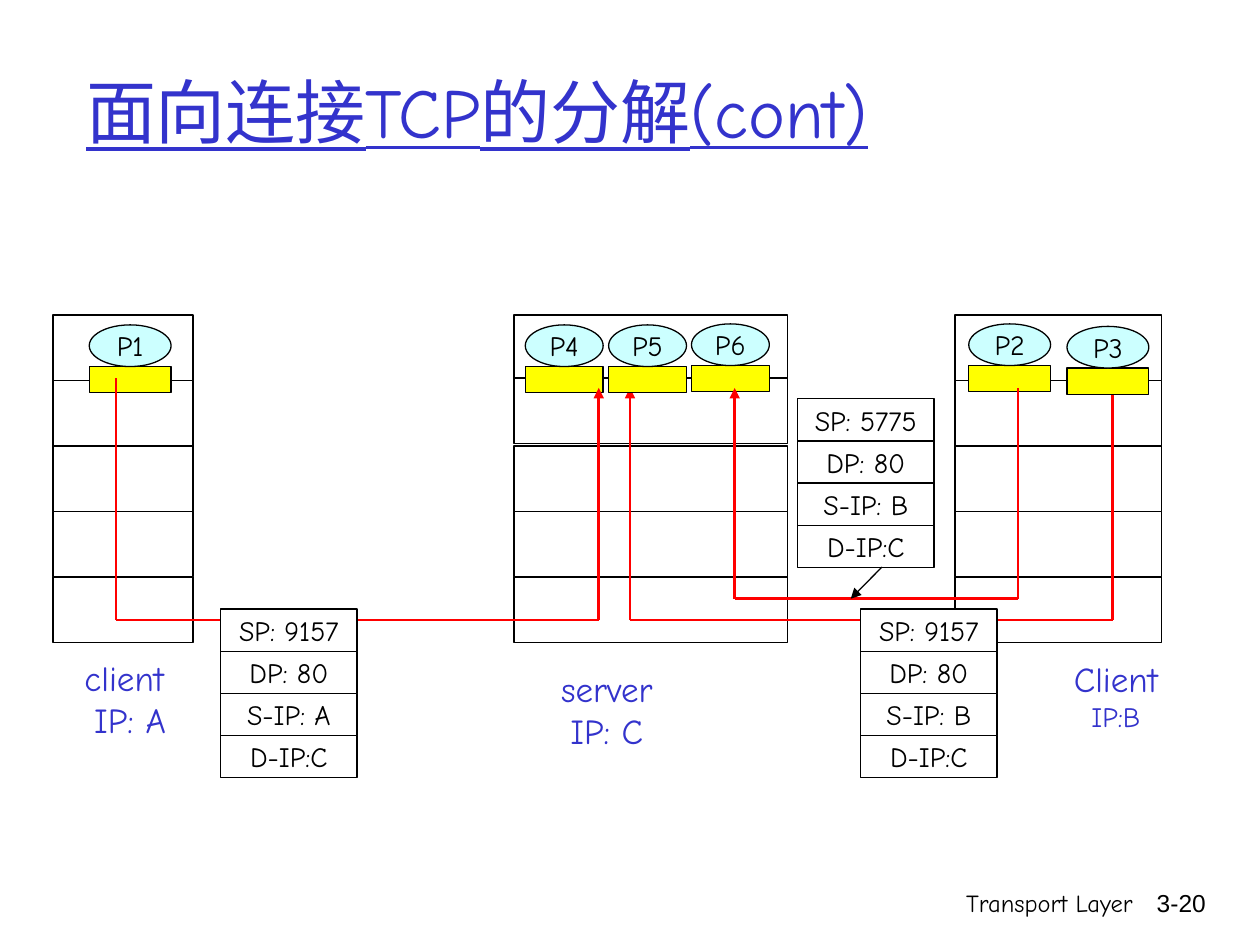
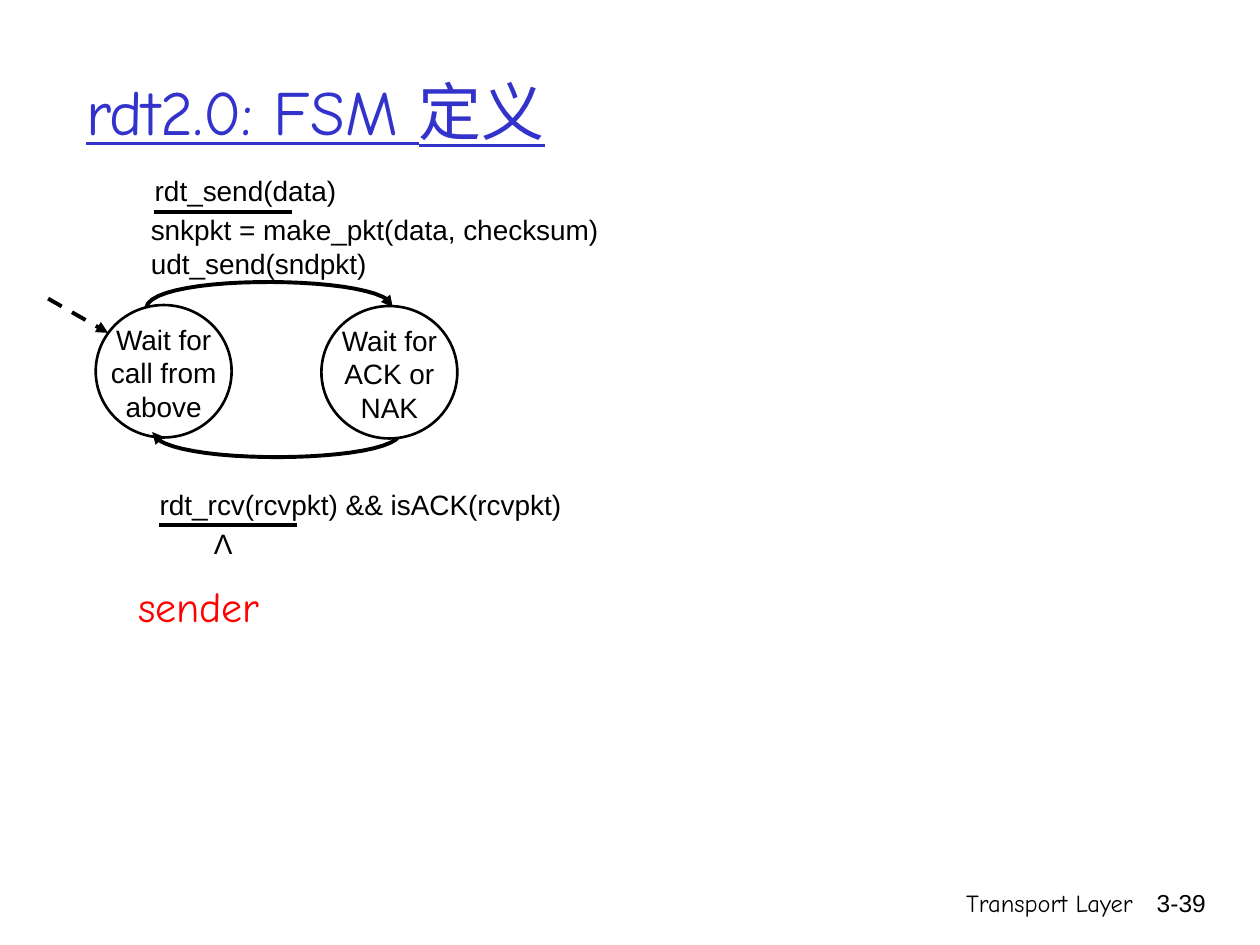
from lxml import etree
from pptx import Presentation
from pptx import util as u
from pptx.dml.color import RGBColor
from pptx.enum import dml, shapes, text
from pptx.oxml import ns

BLACK = RGBColor(0x00, 0x00, 0x00)
WHITE = RGBColor(0xFF, 0xFF, 0xFF)
BLUE = RGBColor(0x33, 0x33, 0xCC)
RED = RGBColor(0xFF, 0x00, 0x00)
YELLOW = RGBColor(0xFF, 0xFF, 0x00)
CYAN = RGBColor(0xCC, 0xFF, 0xFF)
HAND, SANS = "Comic Neue", "Arial"
LEFT, CENTER, RIGHT = text.PP_ALIGN.LEFT, text.PP_ALIGN.CENTER, text.PP_ALIGN.RIGHT
RECT, OVAL = shapes.MSO_SHAPE.RECTANGLE, shapes.MSO_SHAPE.OVAL
LAYER_HEIGHT = 1.32
PROCESS_HEIGHT, SOCKET_HEIGHT = 0.84, 0.53
FIELD_WIDTH, FIELD_HEIGHT = 2.75, 0.85
STATE_WIDTH, STATE_HEIGHT = 2.74, 2.67


def write(frame, content, size=16, font=HAND, color=BLACK, align=CENTER,
          anchor=text.MSO_ANCHOR.TOP, wrap=False, underline=None, last_size=None):
    """Fill a text frame with one paragraph per line of content."""
    frame.text = content
    frame.word_wrap = wrap
    frame.auto_size = text.MSO_AUTO_SIZE.NONE
    frame.vertical_anchor = anchor
    for paragraph in frame.paragraphs:
        paragraph.alignment = align
        for run in paragraph.runs:
            run.font.size = u.Pt(size)
            run.font.name = font
            run.font.color.rgb = color
            run.font.underline = underline
    if last_size:
        frame.paragraphs[-1].runs[0].font.size = u.Pt(last_size)


def label(slide, left, top, width, height, content, **style):
    """Add a text box."""
    box = slide.shapes.add_textbox(u.Cm(left), u.Cm(top), u.Cm(width), u.Cm(height))
    write(box.text_frame, content, **style)


def block(slide, kind, left, top, width, height, fill=WHITE, weight=0.75, content=""):
    """Add an outlined preset shape, with centred text if given."""
    shape = slide.shapes.add_shape(kind, u.Cm(left), u.Cm(top), u.Cm(width), u.Cm(height))
    shape.shadow.inherit = False
    shape.fill.solid()
    shape.fill.fore_color.rgb = fill
    shape.line.color.rgb = BLACK
    shape.line.width = u.Pt(weight)
    if content:
        write(shape.text_frame, content, anchor=text.MSO_ANCHOR.MIDDLE)


def add_arrowhead(shape):
    """Put a triangle at the end of a line."""
    outline = shape._element.spPr.find(ns.qn("a:ln"))
    etree.SubElement(outline, ns.qn("a:tailEnd"), type="triangle")


def line(slide, start, end, color=BLACK, weight=0.75, arrow=False, dashed=False):
    """Add a straight connector between two points."""
    points = [u.Cm(value) for value in (*start, *end)]
    connector = slide.shapes.add_connector(shapes.MSO_CONNECTOR.STRAIGHT, *points)
    connector.line.color.rgb = color
    connector.line.width = u.Pt(weight)
    if dashed:
        connector.line.dash_style = dml.MSO_LINE.DASH
    if arrow:
        add_arrowhead(connector)
    etree.SubElement(connector._element.spPr, ns.qn("a:effectLst"))


def curve(slide, *controls, steps=24):
    """Add a cubic curve with an arrowhead, through four control points."""
    def point(t):
        weights = ((1 - t) ** 3, 3 * t * (1 - t) ** 2, 3 * t * t * (1 - t), t ** 3)
        return tuple(u.Cm(sum(w * c[axis] for w, c in zip(weights, controls)))
                     for axis in (0, 1))

    builder = slide.shapes.build_freeform(*point(0))
    builder.add_line_segments([point(i / steps) for i in range(1, steps + 1)], close=False)
    arc = builder.convert_to_shape()
    arc.shadow.inherit = False
    arc.fill.background()
    arc.line.color.rgb = BLACK
    arc.line.width = u.Pt(2.25)
    add_arrowhead(arc)


def new_slide(deck, title, number, title_size):
    """Add a slide with the shared title style and footer."""
    slide = deck.slides.add_slide(deck.slide_layouts[5])
    heading = slide.shapes.title
    heading.left, heading.top = u.Cm(1.48), u.Cm(0.64)
    heading.width, heading.height = u.Cm(21.59), u.Cm(3.18)
    write(heading.text_frame, title, size=title_size, color=BLUE, align=LEFT,
          anchor=text.MSO_ANCHOR.MIDDLE, wrap=True, underline=True)
    footer = dict(size=14, align=RIGHT, wrap=True)
    label(slide, 15.04, 17.78, 8.05, 1.27, "Transport Layer", **footer)
    label(slide, 22.68, 17.78, 1.88, 1.27, number, font=SANS, **footer)
    return slide


def host(slide, left, top, width, second_lift=0.0):
    """Stack the five protocol layers of a host."""
    for index in range(5):
        lift = second_lift if index == 1 else 0
        block(slide, RECT, left, top + index * LAYER_HEIGHT - lift, width, LAYER_HEIGHT)


def process(slide, left, top, width, name):
    """Draw a process above its socket."""
    block(slide, RECT, left, top + PROCESS_HEIGHT, width, SOCKET_HEIGHT, fill=YELLOW)
    block(slide, OVAL, left, top, width, PROCESS_HEIGHT, fill=CYAN, content=name)


def connection(slide, client_x, server_x, bottom, client_top):
    """Route a red path from a client socket down and up to a server socket."""
    red = dict(color=RED, weight=1.5)
    line(slide, (client_x, client_top), (client_x, bottom), **red)
    line(slide, (client_x, bottom), (server_x, bottom), **red)
    line(slide, (server_x, bottom), (server_x, 7.82), arrow=True, **red)


def segment_header(slide, left, top, source_port, source_ip):
    """Stack the four address fields of a segment."""
    fields = (f"SP: {source_port}", "DP: 80", f"S-IP: {source_ip}", "D-IP:C")
    for index, field in enumerate(fields):
        block(slide, RECT, left, top + index * FIELD_HEIGHT, FIELD_WIDTH, FIELD_HEIGHT,
              content=field)


def demultiplexing_slide(deck):
    """Show two clients connected to separate sockets of one server."""
    slide = new_slide(deck, "面向连接TCP的分解(cont)", "3-20", 40)
    top, client_a, server, client_b = 6.35, 1.07, 10.36, 19.25
    host(slide, client_a, top, 2.82)
    host(slide, server, top, 5.51, second_lift=0.05)
    host(slide, client_b, top, 4.17)
    process(slide, client_a + 0.73, top + 0.2, 1.65, "P1")
    process(slide, client_b + 0.28, top + 0.18, 1.65, "P2")
    process(slide, server + 0.23, top + 0.2, 1.57, "P4")
    connection(slide, 2.34, 12.07, 12.5, 7.62)
    connection(slide, 22.43, 12.7, 12.5, 7.62)
    process(slide, server + 1.91, top + 0.2, 1.57, "P5")
    process(slide, server + 3.58, top + 0.18, 1.57, "P6")
    process(slide, client_b + 2.26, top + 0.23, 1.65, "P3")
    connection(slide, 20.52, 14.81, 12.07, 7.82)
    segment_header(slide, 4.45, 12.28, 9157, "A")
    segment_header(slide, 17.35, 12.28, 9157, "B")
    segment_header(slide, 16.08, 8.04, 5775, "B")
    line(slide, (17.78, 11.43), (17.15, 12.07), arrow=True)
    host_name = dict(size=20, color=BLUE)
    label(slide, 1.3, 13.11, 2.41, 1.96, "client\n IP: A", **host_name)
    label(slide, 10.9, 13.34, 2.67, 1.96, "server\nIP: C", **host_name)
    label(slide, 21.29, 13.13, 2.41, 1.78, "Client\nIP:B", last_size=16, **host_name)


def state(slide, left, top, name):
    """Draw a state circle with its name."""
    block(slide, OVAL, left, top, STATE_WIDTH, STATE_HEIGHT, weight=1.5)
    width = 3.2
    label(slide, left + (STATE_WIDTH - width) / 2, top + 0.22, width, 1.7, name,
          font=SANS, wrap=True)


def transition(slide, left, top, event, actions, indent):
    """Write an event over a rule and the actions under it."""
    style = dict(font=SANS, align=LEFT, wrap=True)
    label(slide, left, top, 10.2, 1, event, **style)
    line(slide, (left + 0.24, top + 0.89), (left + 3.01, top + 0.89), weight=2.25)
    label(slide, left + indent, top + 0.78, 10.2, 1, actions, **style)


def sender_fsm(slide, left, top):
    """Draw the sender's two states and the transitions between them."""
    def at(x, y):
        return left + x, top + y

    state(slide, *at(0.93, 2.75), "Wait for call from above")
    curve(slide, at(1.95, 2.8), at(2.05, 2.09), at(6.92, 2.14), at(6.92, 2.8))
    curve(slide, at(7.08, 5.31), at(7.08, 5.97), at(2.18, 6), at(2.07, 5.31))
    state(slide, *at(5.48, 2.77), "Wait for ACK or NAK")
    line(slide, at(-0.03, 2.62), at(1.18, 3.31), weight=2.25, arrow=True, dashed=True)
    transition(slide, *at(1.87, -0.02), "rdt_send(data)",
               "snkpkt = make_pkt(data, checksum)\nudt_send(sndpkt)", indent=-0.08)
    transition(slide, *at(1.97, 6.3), "rdt_rcv(rcvpkt) && isACK(rcvpkt)", "Λ", indent=1.09)
    label(slide, *at(1.41, 8.18), 3.2, 1.27, "sender", size=24, color=RED)


def main():
    """Build the deck."""
    deck = Presentation()
    deck.slide_width, deck.slide_height = u.Cm(25.4), u.Cm(19.05)
    demultiplexing_slide(deck)
    sender_fsm(new_slide(deck, "rdt2.0: FSM 定义", "3-39", 36), 1, 3.4)
    deck.save("out.pptx")


if __name__ == "__main__":
    main()
